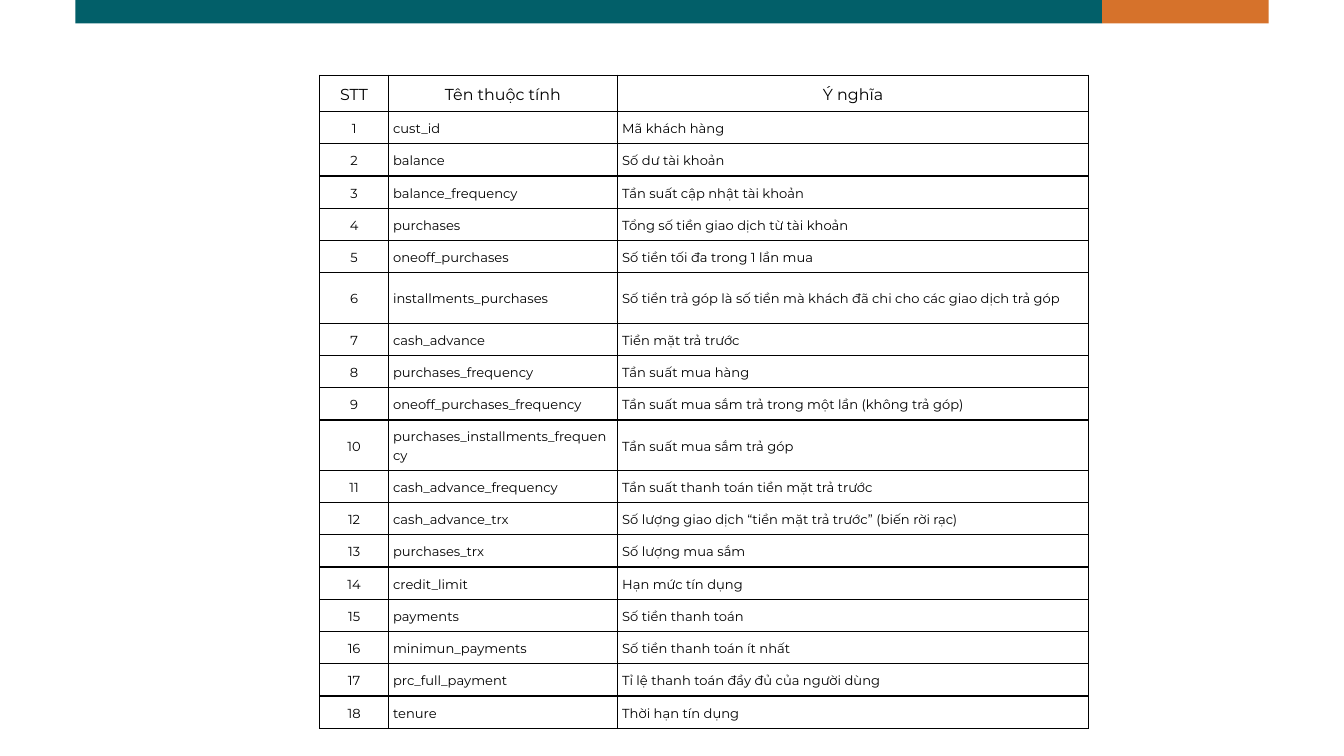
from lxml import etree
from pptx import Presentation
from pptx.dml.color import RGBColor
from pptx.enum import shapes, text
from pptx.oxml.ns import qn
from pptx.util import Inches, Pt

TEAL = RGBColor(0x02, 0x5F, 0x69)
ORANGE = RGBColor(0xD6, 0x72, 0x2B)
BLACK = RGBColor(0, 0, 0)
FONT = "Montserrat"

HEAD = ("STT", "Tên thuộc tính", "Ý nghĩa")
FIELDS = [
    ("cust_id", "Mã khách hàng"),
    ("balance", "Số dư tài khoản"),
    ("balance_frequency", "Tần suất cập nhật tài khoản"),
    ("purchases", "Tổng số tiền giao dịch từ tài khoản"),
    ("oneoff_purchases", "Số tiền tối đa trong 1 lần mua"),
    ("installments_purchases",
     "Số tiền trả góp là số tiền mà khách đã chi cho các giao dịch trả góp"),
    ("cash_advance", "Tiền mặt trả trước"),
    ("purchases_frequency", "Tần suất mua hàng"),
    ("oneoff_purchases_frequency",
     "Tần suất mua sắm trả trong một lần (không trả góp)"),
    ("purchases_installments_frequency", "Tần suất mua sắm trả góp"),
    ("cash_advance_frequency", "Tần suất thanh toán tiền mặt trả trước"),
    ("cash_advance_trx",
     "Số lượng giao dịch “tiền mặt trả trước” (biến rời rạc)"),
    ("purchases_trx", "Số lượng mua sắm"),
    ("credit_limit", "Hạn mức tín dụng"),
    ("payments", "Số tiền thanh toán"),
    ("minimun_payments", "Số tiền thanh toán ít nhất"),
    ("prc_full_payment", "Tỉ lệ thanh toán đầy đủ của người dùng"),
    ("tenure", "Thời hạn tín dụng"),
]
WIDTHS = (1.02, 3.41, 7.01)
HEAD_H, ROW_H, TALL_H = 0.54, 0.48, 0.75
TALL = (6, 10)


def add_bar(slide, left, width, color):
    bar = slide.shapes.add_shape(
        shapes.MSO_SHAPE.RECTANGLE,
        Inches(left), Inches(0), Inches(width), Inches(0.35))
    bar.shadow.inherit = False
    bar.fill.solid()
    bar.fill.fore_color.rgb = color
    bar.line.fill.background()


def put_text(frame, words, size=14, color=BLACK, align=text.PP_ALIGN.LEFT):
    para = frame.paragraphs[0]
    para.alignment = align
    para.line_spacing = Pt(size * 1.4)
    run = para.add_run()
    run.text = words
    run.font.name = FONT
    run.font.size = Pt(size)
    run.font.color.rgb = color


def add_border(cell, width=1.5, color=BLACK):
    props = cell._tc.get_or_add_tcPr()
    for side in ("a:lnL", "a:lnR", "a:lnT", "a:lnB"):
        line = etree.SubElement(props, qn(side), w=str(Pt(width)))
        fill = etree.SubElement(line, qn("a:solidFill"))
        etree.SubElement(fill, qn("a:srgbClr"), val=str(color))


def style_cell(cell):
    cell.margin_left = cell.margin_right = Inches(0.07)
    cell.margin_top = cell.margin_bottom = Inches(0.07)
    cell.vertical_anchor = text.MSO_ANCHOR.MIDDLE
    add_border(cell)
    cell.fill.background()


def add_grid(slide, left, top):
    rows = [HEAD] + [(str(n), *field) for n, field in enumerate(FIELDS, 1)]
    highs = [HEAD_H] + [TALL_H if n in TALL else ROW_H
                        for n in range(1, len(rows))]
    grid = slide.shapes.add_table(
        len(rows), len(WIDTHS), Inches(left), Inches(top),
        Inches(sum(WIDTHS)), Inches(sum(highs))).table
    grid.first_row = grid.horz_banding = False
    for col, width in zip(grid.columns, WIDTHS):
        col.width = Inches(width)
    for r, (row, high) in enumerate(zip(rows, highs)):
        grid.rows[r].height = Inches(high)
        for c, words in enumerate(row):
            cell = grid.cell(r, c)
            style_cell(cell)
            center = r == 0 or c == 0
            put_text(cell.text_frame, words, size=17 if r == 0 else 14,
                     align=text.PP_ALIGN.CENTER if center
                     else text.PP_ALIGN.LEFT)


def main():
    deck = Presentation()
    deck.slide_width, deck.slide_height = Inches(20), Inches(11.25)
    slide = deck.slides.add_slide(deck.slide_layouts[6])
    add_bar(slide, 1.12, 15.28, TEAL)
    add_bar(slide, 16.4, 2.48, ORANGE)
    add_grid(slide, 4.76, 1.12)
    deck.save("out.pptx")


if __name__ == "__main__":
    main()
